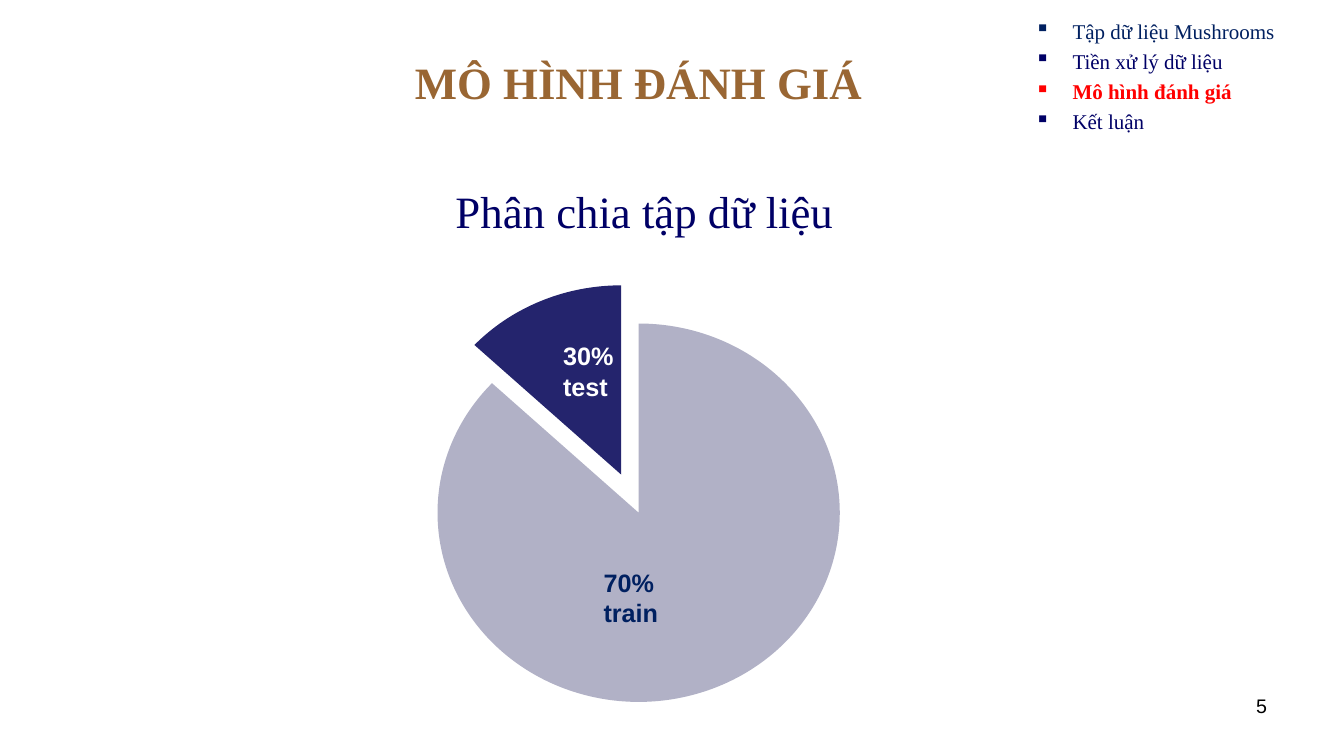
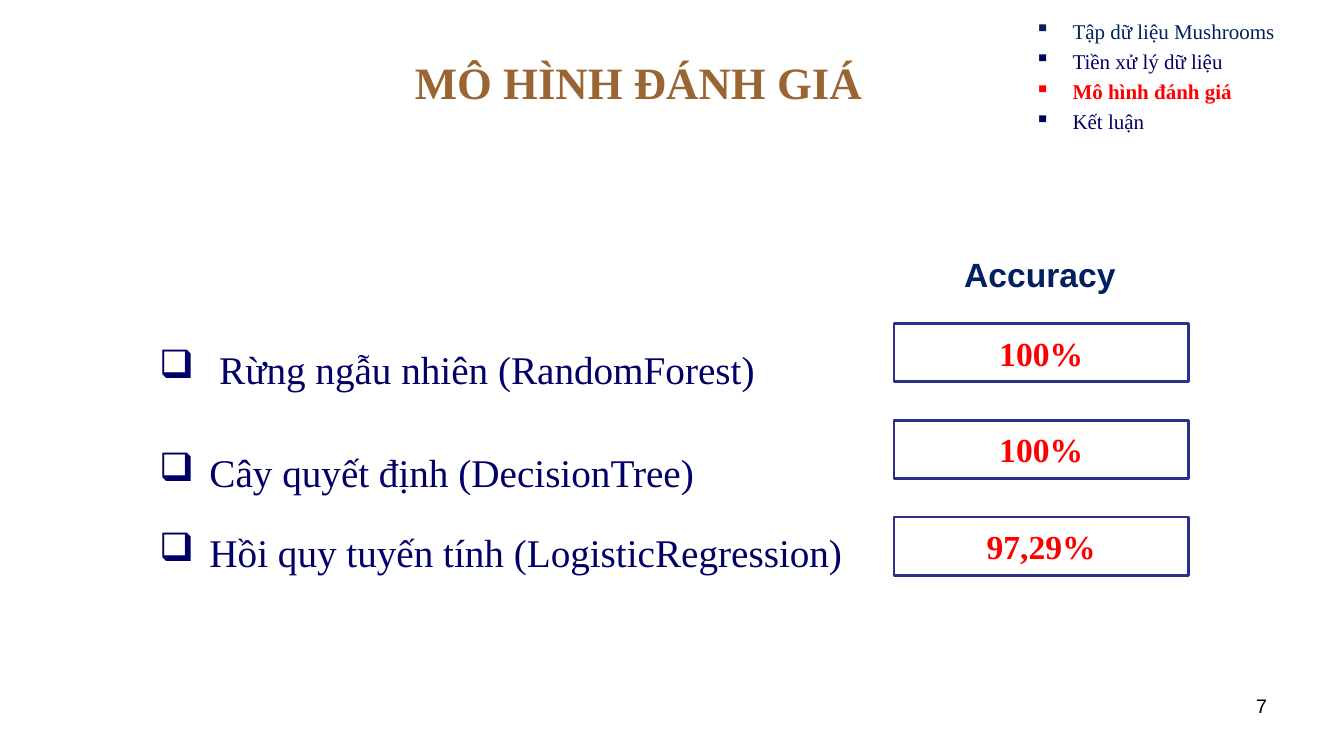
from lxml.etree import SubElement
from pptx import Presentation
from pptx.chart.data import CategoryChartData as ChartData
from pptx.dml.color import RGBColor
from pptx.enum.chart import XL_CHART_TYPE as ChartType
from pptx.enum.shapes import MSO_SHAPE as Preset
from pptx.enum.text import MSO_ANCHOR as Anchor, PP_ALIGN as Align
from pptx.oxml.ns import qn
from pptx.util import Cm, Pt

SERIF, SANS = "Times New Roman", "Arial"
BROWN, INDIGO, NAVY = "996633", "000066", "002060"
RED, WHITE, BLACK, BORDER = "FF0000", "FFFFFF", "000000", "2D2D8A"

TITLE = "MÔ HÌNH ĐÁNH GIÁ"
AGENDA = [
    ("Tập dữ liệu Mushrooms", {"color": NAVY}),
    ("Tiền xử lý dữ liệu", {}),
    ("Mô hình đánh giá", {"color": RED, "bold": True}),
    ("Kết luận", {}),
]
MODELS = [
    (" Rừng ngẫu nhiên (RandomForest)", {"line_spacing": 2.0}),
    ("Cây quyết định (DecisionTree)", {"line_spacing": 2.0}),
    ("Hồi quy tuyến tính (LogisticRegression)", {"line_spacing": 1.5}),
]
ACCURACIES = ["100%", "100%", "97,29%"]


def rgb(color):
    return RGBColor.from_string(color)


class Deck:
    text_style = {"name": SERIF, "size": 18, "color": INDIGO, "bold": False}
    space_before_ratio = 0.24

    def __init__(self):
        self.presentation = Presentation()
        self.presentation.slide_width = Cm(33.87)
        self.presentation.slide_height = Cm(19.05)
        self.slide = None

    def add_slide(self, number):
        layout = self.presentation.slide_layouts[5]
        self.slide = self.presentation.slides.add_slide(layout)
        self.title()
        self.bullets(AGENDA, (25.83, 0.33, 7.62, 3.12), "▪", 0.95, 0.95, size=15)
        self.text(number, (24.28, 17.35, 7.9, 1.32), Align.RIGHT,
                  name=SANS, size=14, color=BLACK)

    def format_font(self, font, **changes):
        style = {**self.text_style, **changes}
        font.color.rgb = rgb(style.pop("color"))
        style["size"] = Pt(style["size"])
        for attribute, value in style.items():
            setattr(font, attribute, value)

    def fill_paragraph(self, paragraph, text, align=Align.LEFT, **changes):
        paragraph.alignment = align
        run = paragraph.add_run()
        run.text = text
        self.format_font(run.font, **changes)

    def title(self):
        shape = self.slide.shapes.title
        place = {"left": Cm(1.7), "top": Cm(0), "width": Cm(28.78), "height": Cm(4.09)}
        for attribute, value in place.items():
            setattr(shape, attribute, value)
        shape.text_frame.vertical_anchor = Anchor.MIDDLE
        self.fill_paragraph(shape.text_frame.paragraphs[0], TITLE, Align.CENTER,
                            size=32, color=BROWN, bold=True)

    def text_frame(self, box, wrap=True):
        frame = self.slide.shapes.add_textbox(*map(Cm, box)).text_frame
        frame.word_wrap = wrap
        return frame

    def text(self, text, box, align=Align.LEFT, wrap=True, space_before=0, **changes):
        frame = self.text_frame(box, wrap)
        for index, line in enumerate(text.split("\n")):
            paragraph = frame.add_paragraph() if index else frame.paragraphs[0]
            paragraph.space_before = Pt(space_before)
            self.fill_paragraph(paragraph, line, align, **changes)

    def bullets(self, items, box, symbol, margin, hanging, size):
        frame = self.text_frame(box)
        for index, (text, changes) in enumerate(items):
            changes = dict(changes)
            paragraph = frame.add_paragraph() if index else frame.paragraphs[0]
            paragraph.line_spacing = changes.pop("line_spacing", 1.0)
            paragraph.space_before = Pt(round(size * self.space_before_ratio, 1))
            self.fill_paragraph(paragraph, text, size=size, **changes)
            properties = paragraph._p.get_or_add_pPr()
            properties.set("marL", str(Cm(margin)))
            properties.set("indent", str(-Cm(hanging)))
            SubElement(properties, qn("a:buChar"), char=symbol)

    def framed_value(self, text, box):
        shape = self.slide.shapes.add_shape(Preset.RECTANGLE, *map(Cm, box))
        shape.shadow.inherit = False
        shape.fill.solid()
        shape.fill.fore_color.rgb = rgb(WHITE)
        shape.line.color.rgb = rgb(BORDER)
        shape.line.width = Pt(2)
        shape.text_frame.vertical_anchor = Anchor.MIDDLE
        self.fill_paragraph(shape.text_frame.paragraphs[0], text, Align.CENTER,
                            size=24, color=RED, bold=True)

    def pie(self, values, colors, box, exploded, explosion, plot):
        data = ChartData()
        data.categories = [str(index + 1) for index in range(len(values))]
        data.add_series("Series 1", values)
        frame = self.slide.shapes.add_chart(ChartType.PIE, *map(Cm, box), data)
        chart = frame.chart
        chart.has_legend = False
        chart.has_title = False
        self.format_font(chart.font, size=10, color=BLACK)
        chart.plots[0].vary_by_categories = True
        points = chart.plots[0].series[0].points
        for index, color in enumerate(colors):
            slice_format = points[index].format
            slice_format.fill.solid()
            slice_format.fill.fore_color.rgb = rgb(color)
            slice_format.line.fill.background()
        point = chart._chartSpace.findall(".//" + qn("c:dPt"))[exploded]
        distance = SubElement(point, qn("c:explosion"), val=str(explosion))
        point.find(qn("c:spPr")).addprevious(distance)
        self.place_plot(chart, plot)

    def place_plot(self, chart, plot):
        area = chart._chartSpace.find(".//" + qn("c:plotArea"))
        for old_layout in area.findall(qn("c:layout")):
            area.remove(old_layout)
        layout = SubElement(area, qn("c:layout"))
        area.insert(0, layout)
        manual = SubElement(layout, qn("c:manualLayout"))
        settings = {"layoutTarget": "inner", "xMode": "edge", "yMode": "edge", **plot}
        for tag, value in settings.items():
            SubElement(manual, qn("c:" + tag), val=str(value))


def build_split_slide(deck):
    deck.add_slide("5")
    deck.text("Phân chia tập dữ liệu", (11.23, 4.5, 11.43, 1.52),
              space_before=4, size=32)
    deck.pie([87, None, None, 13], ["B1B1C6", "7272A1", "2A2A81", "24246D"],
             (10.06, 7.19, 12.07, 10.82), exploded=3, explosion=22,
             plot={"x": 0.08, "y": 0.03, "w": 0.84, "h": 0.94})
    label = {"name": SANS, "bold": True}
    deck.text("30% test", (13.94, 8.46, 2.11, 1.8), color=WHITE, **label)
    deck.text("70%\ntrain", (14.96, 14.17, 2.11, 1.8), color=NAVY, **label)


def build_accuracy_slide(deck):
    deck.add_slide("7")
    deck.bullets(MODELS, (1.7, 7.39, 28.78, 11.4), "❑", 3.33, 1.27, size=28)
    for index, accuracy in enumerate(ACCURACIES):
        deck.framed_value(accuracy, (22.53, 8.15 + index * 2.44, 7.42, 1.47))
    deck.text("Accuracy", (24.05, 6.27, 4.37, 1.27), wrap=False,
              name=SANS, size=24, color=NAVY, bold=True)


def main():
    deck = Deck()
    build_split_slide(deck)
    build_accuracy_slide(deck)
    deck.presentation.save("out.pptx")


if __name__ == "__main__":
    main()
